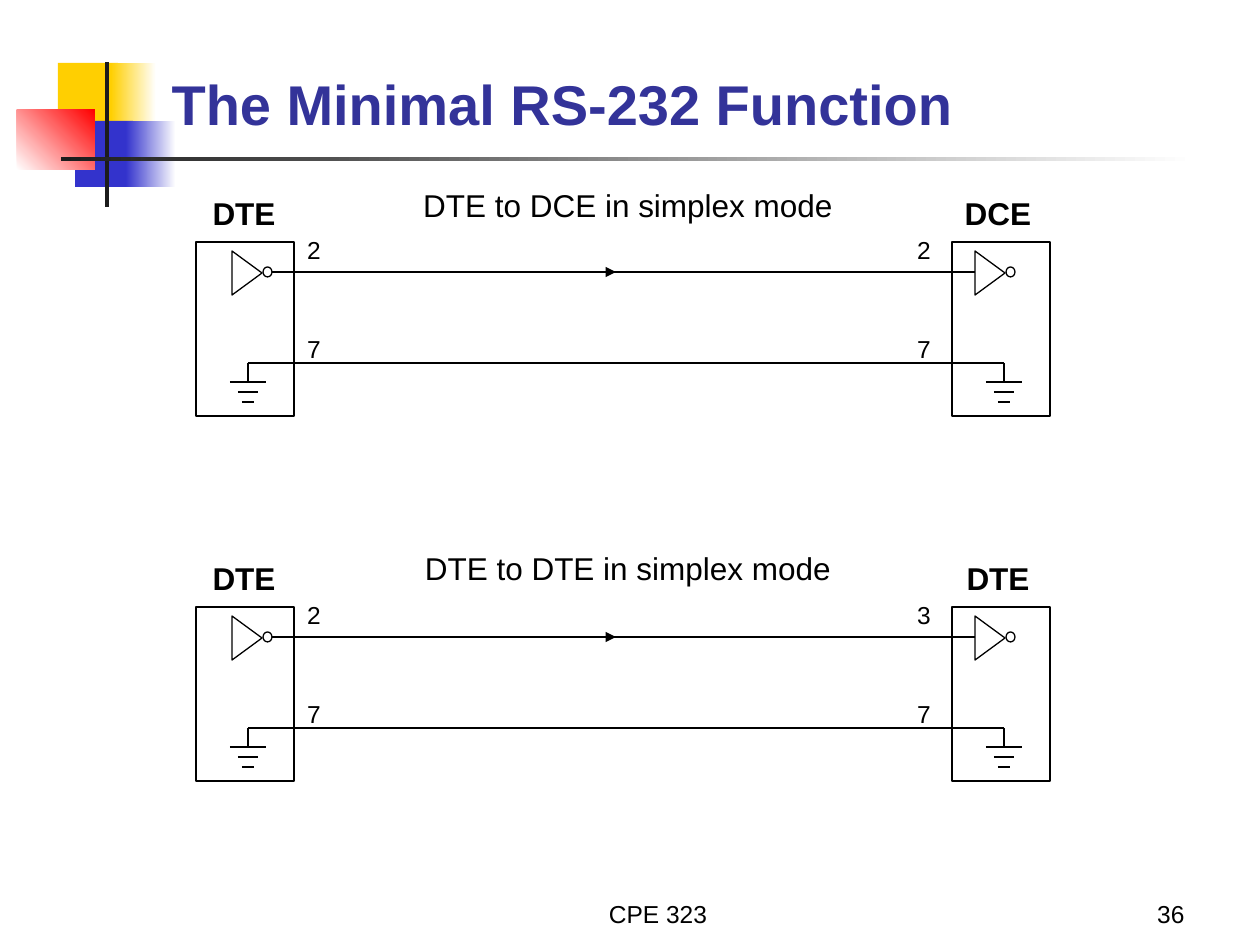
from lxml import etree
from pptx import Presentation
from pptx.dml.color import RGBColor
from pptx.enum.shapes import MSO_CONNECTOR, MSO_SHAPE
from pptx.enum.text import MSO_ANCHOR, MSO_AUTO_SIZE, PP_ALIGN
from pptx.oxml.ns import qn
from pptx.util import Pt

PX = 914400 / 126
FONT = "Arial"
BLACK = RGBColor(0x00, 0x00, 0x00)
WHITE = RGBColor(0xFF, 0xFF, 0xFF)
YELLOW = RGBColor(0xFF, 0xCF, 0x01)
BLUE = RGBColor(0x33, 0x33, 0xCC)
RED = RGBColor(0xFF, 0x00, 0x00)
CHARCOAL = RGBColor(0x1C, 0x1C, 0x1C)
NAVY = RGBColor(0x33, 0x33, 0x99)

RECTANGLE = MSO_SHAPE.RECTANGLE
TRIANGLE = MSO_SHAPE.ISOSCELES_TRIANGLE
OVAL = MSO_SHAPE.OVAL
STRAIGHT = MSO_CONNECTOR.STRAIGHT
LEFT, CENTER, RIGHT = PP_ALIGN.LEFT, PP_ALIGN.CENTER, PP_ALIGN.RIGHT
TOP, BOTTOM = MSO_ANCHOR.TOP, MSO_ANCHOR.BOTTOM
NO_AUTO_SIZE = MSO_AUTO_SIZE.NONE

STATION_GAP = 756
GATE_GAP = 743
DIAGRAM_GAP = 365


def emu(*lengths):
    return [round(length * PX) for length in lengths]


def add_block(slide, box, start, end=None, angle=0):
    """Add a borderless rectangle, solid or fading from start to end."""
    shape = slide.shapes.add_shape(RECTANGLE, *emu(*box))
    shape.shadow.inherit = False
    shape.line.fill.background()
    if end is None:
        shape.fill.solid()
        shape.fill.fore_color.rgb = start
    else:
        shape.fill.gradient()
        shape.fill.gradient_angle = angle
        for stop, color in zip(shape.fill.gradient_stops, (start, end)):
            stop.color.rgb = color


def add_outline(slide, kind, box, rotation=0):
    shape = slide.shapes.add_shape(kind, *emu(*box))
    shape.shadow.inherit = False
    shape.fill.background()
    shape.line.color.rgb = BLACK
    shape.line.width = Pt(0.75)
    shape.rotation = rotation


def add_wire(slide, start, end, arrow=False):
    wire = slide.shapes.add_connector(STRAIGHT, *emu(*start, *end))
    wire.line.color.rgb = BLACK
    wire.line.width = Pt(0.75)
    properties = wire._element.spPr
    if arrow:
        line = properties.find(qn("a:ln"))
        etree.SubElement(line, qn("a:tailEnd"), type="triangle")
    etree.SubElement(properties, qn("a:effectLst"))


def format_text(text_frame, size, color=BLACK, bold=False, align=CENTER, anchor=TOP):
    text_frame.auto_size = NO_AUTO_SIZE
    text_frame.vertical_anchor = anchor
    paragraph = text_frame.paragraphs[0]
    paragraph.alignment = align
    font = paragraph.runs[0].font
    font.name = FONT
    font.size = Pt(size)
    font.bold = bold
    font.color.rgb = color


def add_label(slide, text, box, size, wrap=False, **style):
    text_frame = slide.shapes.add_textbox(*emu(*box)).text_frame
    text_frame.text = text
    text_frame.word_wrap = wrap
    format_text(text_frame, size, **style)


def add_title(slide, text):
    title = slide.shapes.title
    title.left, title.top, title.width, title.height = emu(159, 23, 1074, 120)
    title.text_frame.text = text
    format_text(title.text_frame, 32, NAVY, True, LEFT, BOTTOM)


def add_decoration(slide):
    add_block(slide, (58, 63, 60, 66), YELLOW)
    add_block(slide, (111, 63, 45, 66), YELLOW, WHITE)
    add_block(slide, (75, 121, 58, 66), BLUE)
    add_block(slide, (126, 121, 50, 66), BLUE, WHITE)
    add_block(slide, (17, 110, 78, 60), WHITE, RED, angle=45)
    add_block(slide, (105, 62, 4, 145), CHARCOAL)
    add_block(slide, (61, 157, 1134, 4), CHARCOAL, WHITE)


def add_ground(slide, x, y):
    """Add an earth symbol whose stem starts at (x, y)."""
    add_wire(slide, (x, y), (x, y + 19))
    for row, half_width in enumerate((18, 10, 6)):
        bar_y = y + 19 + 10 * row
        add_wire(slide, (x - half_width, bar_y), (x + half_width, bar_y))


def add_inverter(slide, x, y):
    """Add a gate pointing right, with the middle of its input at (x, y)."""
    add_outline(slide, TRIANGLE, (x - 7, y - 14, 44, 30), rotation=90)
    add_outline(slide, OVAL, (x + 31, y - 5, 9, 10))


def add_station(slide, x, gate_x, y, name, name_center):
    add_outline(slide, RECTANGLE, (x, y, 98, 174))
    add_inverter(slide, gate_x, y + 30)
    add_ground(slide, x + 52, y + 121)
    add_label(slide, name, (name_center - 46, y - 54, 92, 50), 18, bold=True)


def add_diagram(slide, y, heading, heading_top, receiver, receiver_pin):
    """Add two stations joined by a signal wire and a ground wire."""
    x, gate_x = 196, 232
    signal_y, ground_y = y + 30, y + 121
    add_station(slide, x, gate_x, y, "DTE", 244)
    add_station(slide, x + STATION_GAP, gate_x + GATE_GAP, y, receiver, 998)
    add_wire(slide, (gate_x + 40, signal_y), (gate_x + GATE_GAP, signal_y))
    add_wire(slide, (548, signal_y), (616, signal_y), arrow=True)
    add_wire(slide, (x + 52, ground_y), (x + 52 + STATION_GAP, ground_y))
    for center, signal_pin in ((314, "2"), (924, receiver_pin)):
        for pin, top in ((signal_pin, y - 13), ("7", y + 86)):
            add_label(slide, pin, (center - 20, top, 40, 42), 14)
    add_label(slide, heading, (411, heading_top, 434, 50), 18)


def main():
    presentation = Presentation()
    presentation.slide_width, presentation.slide_height = emu(1260, 945)
    slide = presentation.slides.add_slide(presentation.slide_layouts[5])
    add_decoration(slide)
    add_title(slide, "The Minimal RS-232 Function")
    add_diagram(slide, 242, "DTE to DCE in simplex mode", 180, "DCE", "2")
    add_diagram(slide, 242 + DIAGRAM_GAP, "DTE to DTE in simplex mode", 543, "DTE", "3")
    add_label(slide, "CPE 323", (458, 872, 400, 63), 14, wrap=True, anchor=BOTTOM)
    add_label(slide, "36", (935, 872, 262, 63), 14, wrap=True, align=RIGHT, anchor=BOTTOM)
    presentation.save("out.pptx")


if __name__ == "__main__":
    main()
